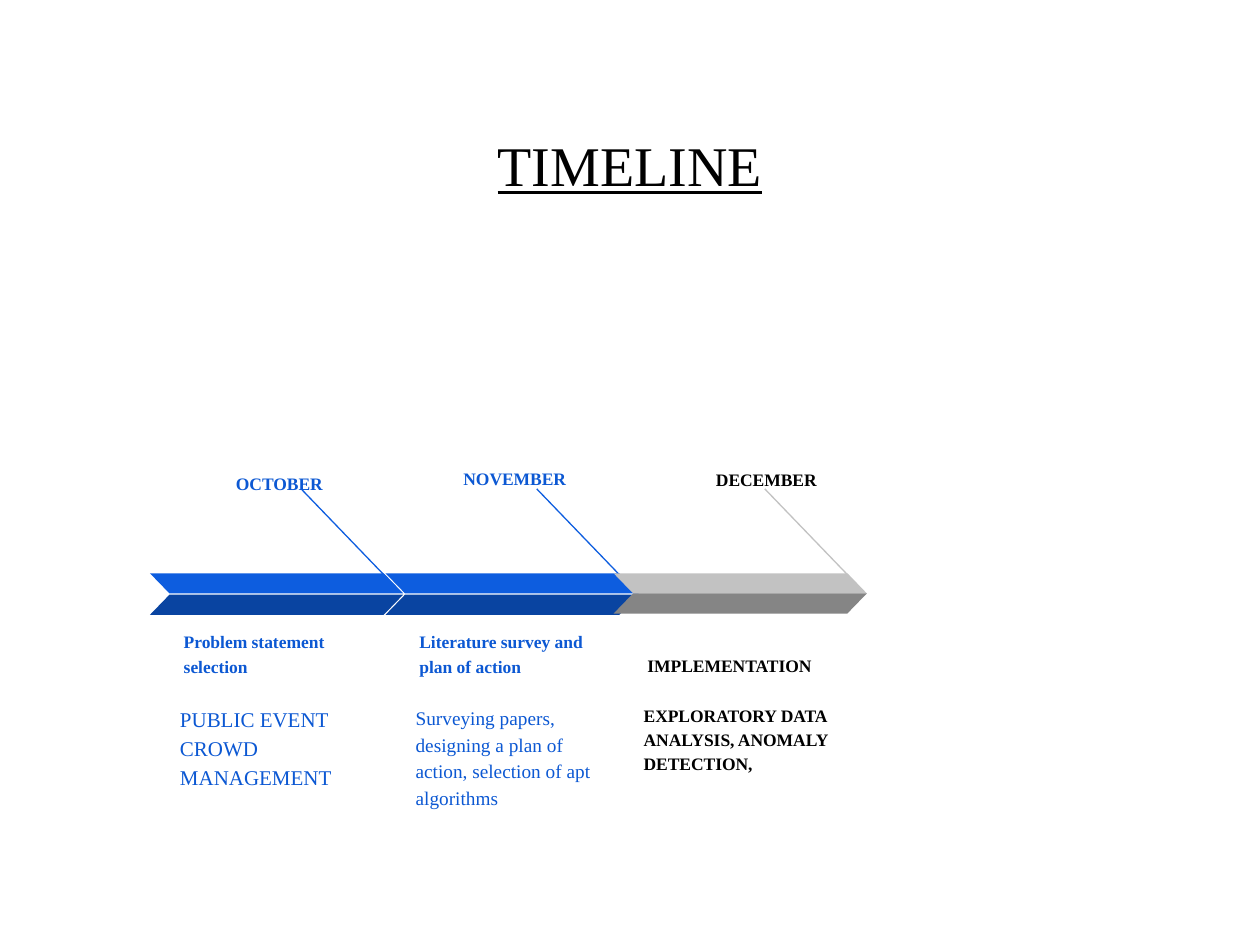
from pptx import Presentation
from pptx.dml.color import RGBColor
from pptx.enum.shapes import MSO_CONNECTOR, MSO_SHAPE
from pptx.enum.text import MSO_ANCHOR, PP_ALIGN
from pptx.oxml.ns import qn
from pptx.util import Inches, Pt
from lxml import etree

BLACK = RGBColor(0x00, 0x00, 0x00)
TEXT_BLUE = RGBColor(0x0C, 0x58, 0xD3)
BLUE = RGBColor(0x0D, 0x5D, 0xDF)
DARK_BLUE = RGBColor(0x09, 0x44, 0xA1)
LIGHT_GRAY = RGBColor(0xC2, 0xC2, 0xC2)
GRAY = RGBColor(0x85, 0x85, 0x85)

prs = Presentation()
prs.slide_width = Inches(10)
prs.slide_height = Inches(7.5)
s = prs.slides.add_slide(prs.slide_layouts[6])


def add_text(text, x, y, w, h, size, color, bold=False, align=PP_ALIGN.LEFT,
             anchor=MSO_ANCHOR.TOP, spacing=1.15, after=0, inset=0.1):
    tf = s.shapes.add_textbox(Inches(x), Inches(y), Inches(w), Inches(h)).text_frame
    tf.word_wrap = True
    tf.vertical_anchor = anchor
    tf.margin_left = tf.margin_right = Inches(0.1)
    tf.margin_top = tf.margin_bottom = Inches(inset)
    p = tf.paragraphs[0]
    p.text = text
    p.alignment = align
    p.line_spacing = spacing
    p.space_after = Pt(after)
    r = p.runs[0]
    r.font.name = "Times New Roman"
    r.font.size = Pt(size)
    r.font.bold = bold
    r.font.color.rgb = color
    return r


title = add_text("TIMELINE", 0.5, 1.06, 9, 0.49, 32, BLACK, align=PP_ALIGN.CENTER,
                 anchor=MSO_ANCHOR.MIDDLE, spacing=1.0, inset=0.05)
title.font.underline = True

stages = [
    (1.19, "OCTOBER", (1.73, 3.63, 0.93, 0.49), "Problem statement selection",
     "PUBLIC EVENT CROWD MANAGEMENT", 12, False, 4.98, 4.72, TEXT_BLUE, BLUE, DARK_BLUE),
    (3.06, "NOVEMBER", (3.54, 3.59, 1.05, 0.26), "Literature survey and plan of action",
     "Surveying papers, designing a plan of action, selection of apt algorithms",
     11, False, 4.98, 4.72, TEXT_BLUE, BLUE, DARK_BLUE),
    (4.87, "DECEMBER", (5.42, 3.6, 1.16, 0.25), "IMPLEMENTATION",
     "EXPLORATORY DATA ANALYSIS, ANOMALY DETECTION,",
     10, True, 4.97, 4.71, BLACK, LIGHT_GRAY, GRAY),
]

for (x, month, month_box, heading, detail, size, bold,
     text_top, lower_top, color, upper_fill, lower_fill) in stages:
    add_text(month, *month_box, 10, color, True, PP_ALIGN.RIGHT, after=16)
    add_text(heading, x + 0.17, text_top, 1.65, 0.49, 10, color, True,
             anchor=MSO_ANCHOR.BOTTOM)
    add_text(detail, x + 0.14, text_top + 0.5, 1.69, 0.81, size, color, bold, after=16)

    line = s.shapes.add_connector(MSO_CONNECTOR.STRAIGHT, Inches(x + 1.2), Inches(3.88),
                                  Inches(x + 1.98), Inches(4.69))
    line.line.color.rgb = upper_fill
    line.line.width = Pt(0.75)
    etree.SubElement(line._element.spPr, qn("a:effectLst"))

    for top, fill, flip in ((4.55, upper_fill, True), (lower_top, lower_fill, False)):
        sp = s.shapes.add_shape(MSO_SHAPE.PARALLELOGRAM, Inches(x), Inches(top),
                                Inches(2.01), Inches(0.16))
        sp.adjustments[0] = 0.97
        sp.shadow.inherit = False
        sp.fill.solid()
        sp.fill.fore_color.rgb = fill
        sp.line.fill.background()
        if flip:
            sp._element.spPr.find(qn("a:xfrm")).set("flipH", "1")

prs.save("out.pptx")
